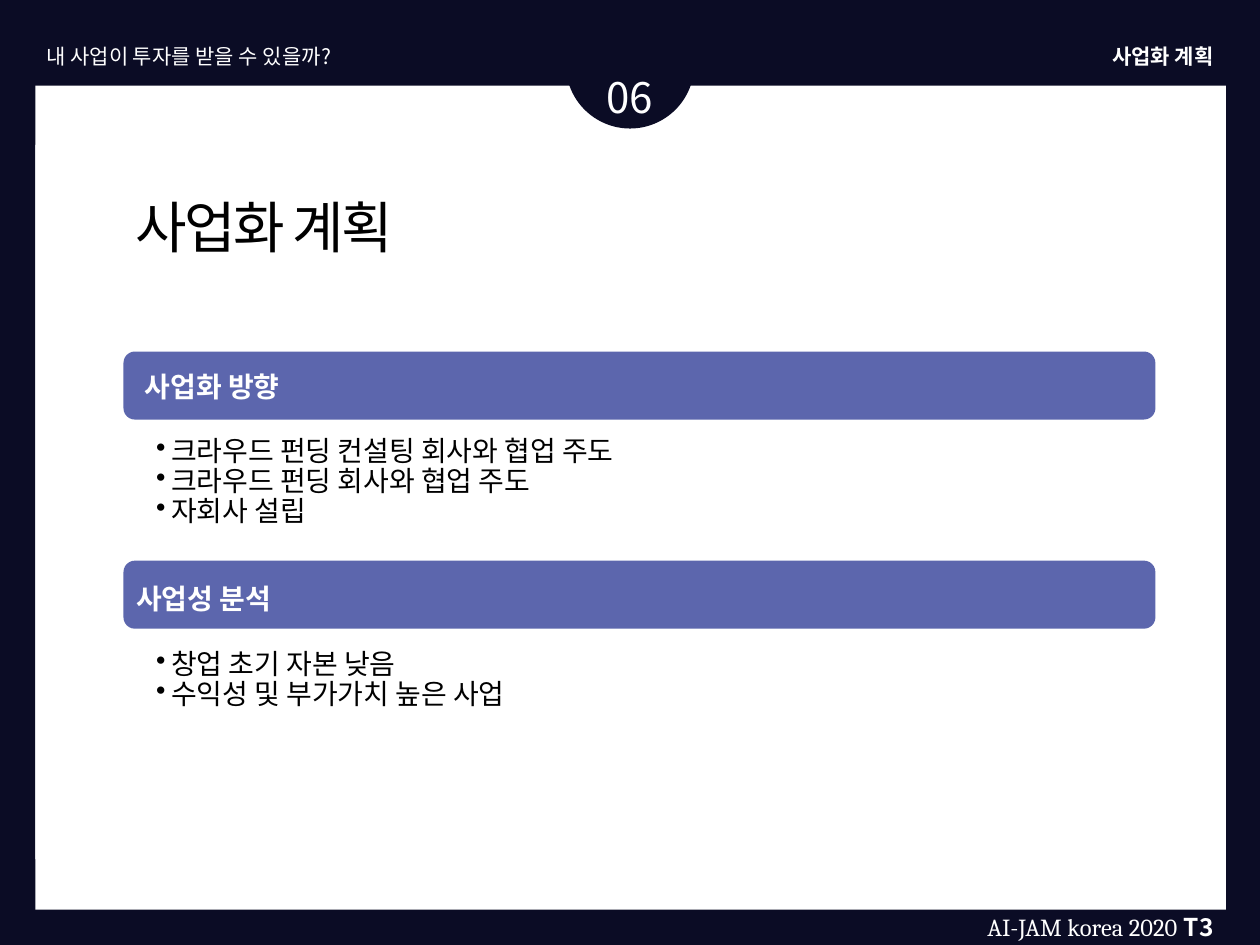
from lxml import etree
from pptx import Presentation
from pptx import util as u
from pptx.dml import color
from pptx.enum import shapes, text
from pptx.oxml import ns

NAVY, WHITE, BLACK, VIOLET = "0B0C25", "FFFFFF", "000000", "5C66AD"
SANS, SERIF = "Noto Sans CJK KR", "Cambria"
COLUMNS, ROWS = 100, 75
LEFT, WIDTH = 9.8, 81.9


def rgb(value):
    return color.RGBColor.from_string(value)


class Deck:
    """Draws styled elements on the current slide, on a grid of 100 columns by 75 rows."""

    def __init__(self):
        self.presentation = Presentation()
        self.presentation.slide_width = u.Inches(10)
        self.presentation.slide_height = u.Inches(7.5)

    def add_slide(self, background):
        self.slide = self.presentation.slides.add_slide(self.presentation.slide_layouts[6])
        fill = self.slide.background.fill
        fill.solid()
        fill.fore_color.rgb = rgb(background)

    def box(self, left, top, width, height):
        column = self.presentation.slide_width / COLUMNS
        row = self.presentation.slide_height / ROWS
        return [round(n) for n in (left * column, top * row, width * column, height * row)]

    def shape(self, kind, area, fill):
        shape = self.slide.shapes.add_shape(kind, *self.box(*area))
        shape.shadow.inherit = False
        shape.fill.solid()
        shape.fill.fore_color.rgb = rgb(fill)
        shape.line.fill.background()
        return shape

    def frame(self, area, insets=(0.1, 0.05, 0.1, 0.05), wrap=True,
              anchor=text.MSO_ANCHOR.TOP):
        frame = self.slide.shapes.add_textbox(*self.box(*area)).text_frame
        frame.word_wrap = wrap
        frame.vertical_anchor = anchor
        (frame.margin_left, frame.margin_top,
         frame.margin_right, frame.margin_bottom) = map(u.Inches, insets)
        return frame

    def run(self, paragraph, words, size, ink=WHITE, bold=False, font=SANS, tracking=None):
        run = paragraph.add_run()
        run.text = words
        run.font.size = u.Pt(size)
        run.font.bold = bold
        run.font.name = font
        run.font.color.rgb = rgb(ink)
        properties = run.font._element
        etree.SubElement(properties, ns.qn("a:ea"), typeface=font)
        if tracking is not None:
            properties.set("spc", str(round(tracking * 100)))

    def label(self, area, words, size, align=text.PP_ALIGN.LEFT, wrap=True, **style):
        paragraph = self.frame(area, wrap=wrap).paragraphs[0]
        paragraph.alignment = align
        self.run(paragraph, words, size, **style)

    def heading(self, bar_top, left, top, words):
        bar = self.shape(shapes.MSO_SHAPE.ROUNDED_RECTANGLE, (LEFT, bar_top, WIDTH, 5.4), VIOLET)
        bar.adjustments[0] = 0.167
        frame = self.frame((left, top, 81.4, 4.9), (0.07,) * 4, anchor=text.MSO_ANCHOR.MIDDLE)
        paragraph = frame.paragraphs[0]
        paragraph.line_spacing = 0.9
        self.run(paragraph, words, 16, bold=True)

    def bullets(self, top, height, items):
        frame = self.frame((LEFT, top, WIDTH, height), (0.26, 0.02, 0.12, 0.02))
        indent = u.Inches(0.12)
        for index, item in enumerate(items):
            paragraph = frame.add_paragraph() if index else frame.paragraphs[0]
            paragraph.level = 1
            paragraph.line_spacing = 0.9
            properties = paragraph._p.get_or_add_pPr()
            properties.set("marL", str(indent))
            properties.set("indent", str(-indent))
            etree.SubElement(properties, ns.qn("a:buChar"), char="•")
            self.run(paragraph, item, 16, ink=BLACK)


def main():
    deck = Deck()
    deck.add_slide(NAVY)
    align = text.PP_ALIGN

    deck.shape(shapes.MSO_SHAPE.RECTANGLE, (2.8, 6.8, 94.5, 65.4), WHITE)
    deck.shape(shapes.MSO_SHAPE.OVAL, (44.9, 0, 10.2, 10.2), NAVY)
    deck.shape(shapes.MSO_SHAPE.RECTANGLE, (2.8, 11.5, 94.5, 56.7), WHITE)

    deck.label((86.2, 3, 11.1, 3), "사업화 계획", 12, align.RIGHT, wrap=False, bold=True)
    deck.label((44.1, 5.2, 11.8, 5), "06", 24, align.CENTER)
    deck.label((2.7, 3, 34.9, 3), "내 사업이 투자를 받을 수 있을까?", 12, align.JUSTIFY)

    footer = deck.frame((69.7, 71.6, 27.6, 6.4)).paragraphs[0]
    footer.alignment = align.RIGHT
    deck.run(footer, "AI-JAM korea 2020", 14, font=SERIF)
    deck.run(footer, " ", 16, font=SERIF)
    deck.run(footer, "T3", 14, bold=True)

    deck.label((LEFT, 14.8, 34.6, 6.4), "사업화 계획", 32, ink=BLACK, tracking=-1.5)

    deck.heading(27.9, 10.8, 28.4, "사업화 방향")
    deck.bullets(34.5, 12.7, ["크라우드 펀딩 컨설팅 회사와 협업 주도",
                              "크라우드 펀딩 회사와 협업 주도",
                              "자회사 설립"])
    deck.heading(44.5, 10.1, 45.2, "사업성 분석")
    deck.bullets(51.4, 6.3, ["창업 초기 자본 낮음", "수익성 및 부가가치 높은 사업"])

    deck.presentation.save("out.pptx")


if __name__ == "__main__":
    main()
